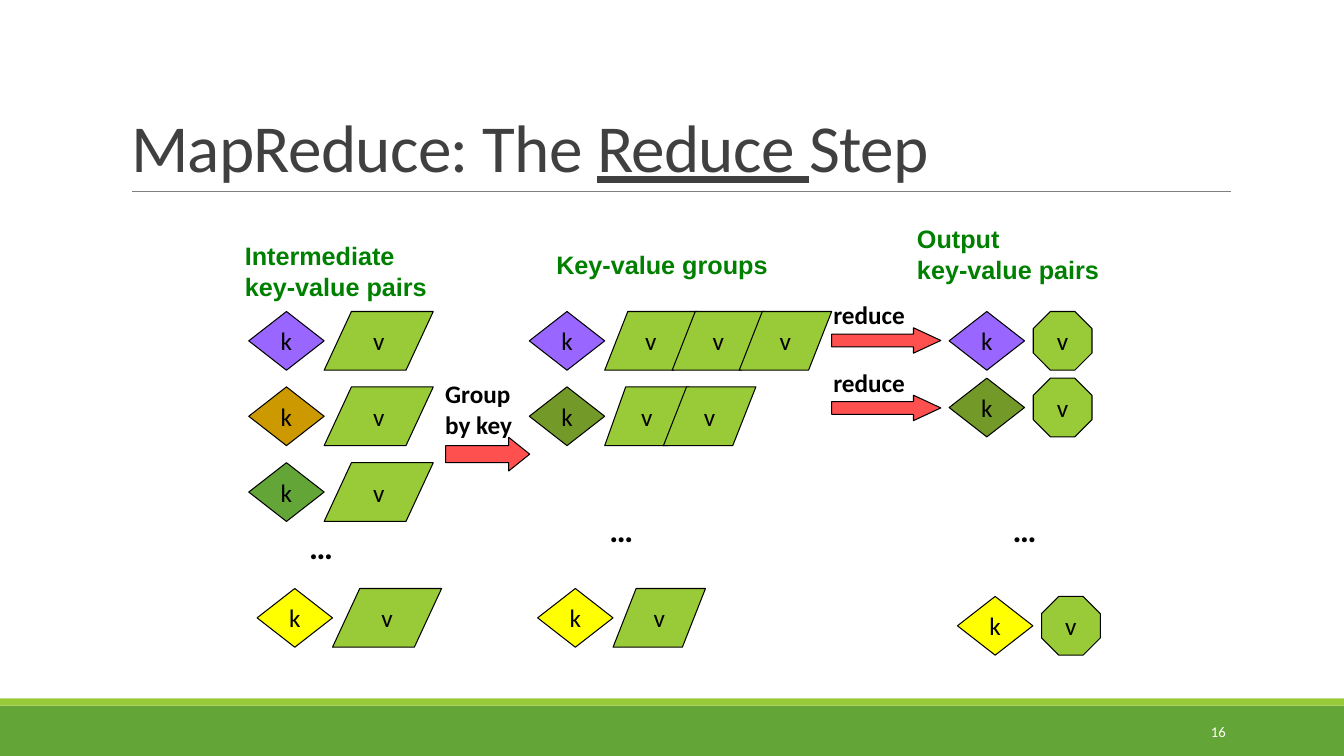
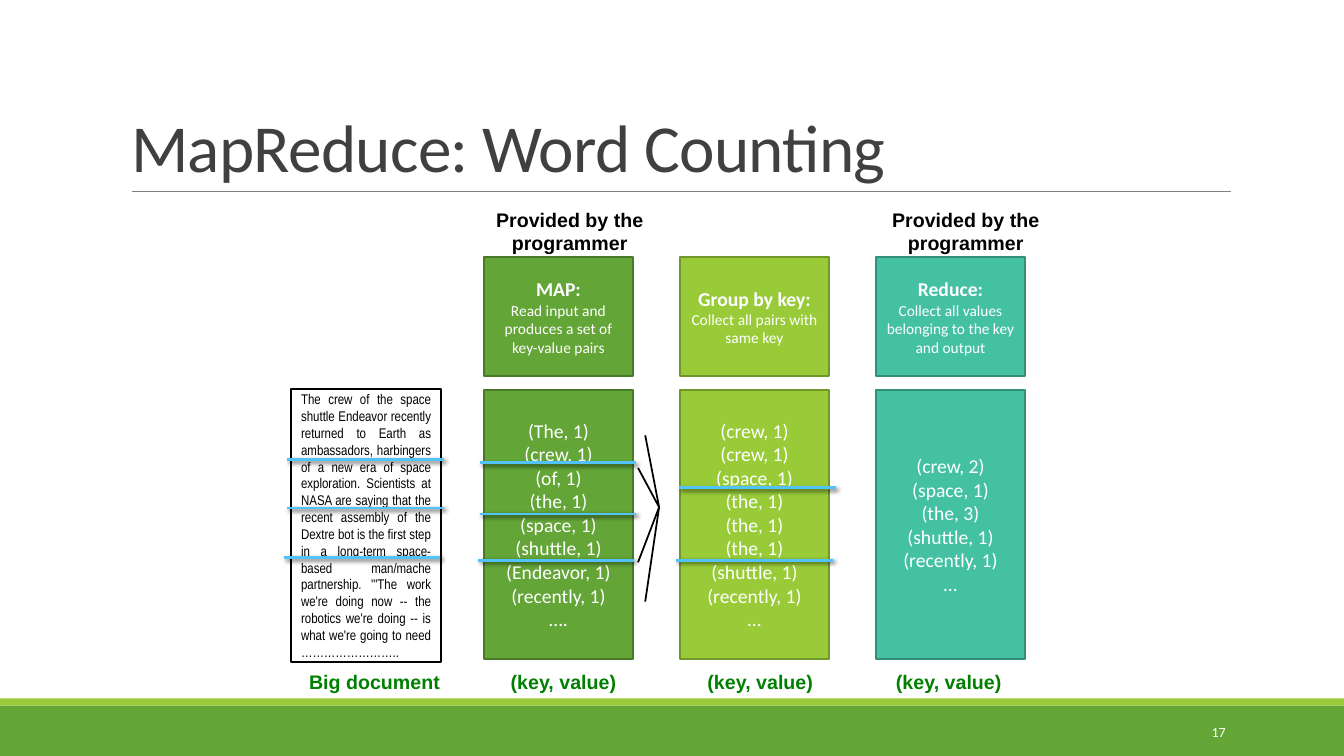
"""Build two MapReduce slides: the reduce step and word counting."""
from dataclasses import dataclass
from typing import Any

from lxml import etree
from pptx import Presentation
from pptx import util as u
from pptx.dml.color import RGBColor
from pptx.enum import shapes, text
from pptx.oxml.ns import qn

BLACK = RGBColor(0x00, 0x00, 0x00)
WHITE = RGBColor(0xFF, 0xFF, 0xFF)
GREEN = RGBColor(0x63, 0xA5, 0x37)
GREEN_EDGE = RGBColor(0x49, 0x7A, 0x29)
LIME = RGBColor(0x99, 0xCB, 0x38)
LIME_EDGE = RGBColor(0x71, 0x96, 0x29)
TEAL = RGBColor(0x44, 0xC1, 0xA3)
TEAL_EDGE = RGBColor(0x32, 0x8F, 0x79)
OLIVE = RGBColor(0x73, 0x9A, 0x28)
PURPLE = RGBColor(0x99, 0x66, 0xFF)
OCHRE = RGBColor(0xCC, 0x99, 0x00)
YELLOW = RGBColor(0xFF, 0xFF, 0x00)
RED = RGBColor(0xFF, 0x50, 0x50)
SKY = RGBColor(0x51, 0xC3, 0xF9)
LABEL_GREEN = RGBColor(0x00, 0x80, 0x00)
TITLE_GRAY = RGBColor(0x40, 0x40, 0x40)
RULE_GRAY = RGBColor(0x80, 0x80, 0x80)

SLIDE_WIDTH, SLIDE_HEIGHT = 33.87, 19.05
KEY_WIDTH, ROW_HEIGHT = 1.9, 1.48
COLUMN_LEFT, COLUMN_PITCH, COLUMN_WIDTH = 12.19, 4.94, 3.77

SHAPE = shapes.MSO_SHAPE
CENTER = text.PP_ALIGN.CENTER
RIGHT = text.PP_ALIGN.RIGHT
JUSTIFY = text.PP_ALIGN.JUSTIFY
MIDDLE = text.MSO_ANCHOR.MIDDLE


@dataclass(frozen=True)
class Box:
    """Place and size in centimetres."""
    left: float
    top: float
    width: float
    height: float

    def lengths(self) -> list[u.Length]:
        """Return the four values as lengths."""
        return [u.Cm(value) for value in (self.left, self.top, self.width, self.height)]


@dataclass(frozen=True)
class Style:
    """Look of a piece of text."""
    size: float
    color: RGBColor = BLACK
    name: str = "Calibri"
    bold: bool = False


@dataclass(frozen=True)
class Label:
    """Free text on a slide."""
    content: str
    box: Box
    style: Style
    wrap: bool = False
    align: Any = None


@dataclass(frozen=True)
class KeyValueRow:
    """A key diamond followed by value shapes given as (offset, width)."""
    left: float
    top: float
    color: RGBColor
    values: tuple[tuple[float, float], ...]
    kind: Any = SHAPE.PARALLELOGRAM


@dataclass(frozen=True)
class Stage:
    """One processing column of the word count."""
    heading: str
    detail: str
    pairs: str
    fill: RGBColor
    edge: RGBColor
    caption_left: float


KEY = Style(18)
STEP = Style(18, bold=True)
DOTS = Style(24, bold=True)
HEADING = Style(18, LABEL_GREEN, "Arial", True)
CAPTION = Style(14, LABEL_GREEN, "Arial", True)
NOTICE = Style(14, BLACK, "Arial", True)
PAIRS = Style(14, WHITE)
STAGE_HEAD = Style(14, WHITE, bold=True)
STAGE_DETAIL = Style(11, WHITE)
DOCUMENT = Style(10, BLACK, "Arial Narrow")
TITLE = Style(48, TITLE_GRAY)

ONE_VALUE = ((1.9, 2.75),)
ONE_GROUPED = ((1.9, 2.33),)
TWO_GROUPED = ((1.9, 2.12), (3.38, 2.33))
THREE_GROUPED = ((1.9, 2.33), (3.6, 2.33), (5.29, 2.33))
ONE_RESULT = ((2.12, 1.48),)

ROWS = (
    KeyValueRow(6.27, 7.85, PURPLE, ONE_VALUE),
    KeyValueRow(6.27, 9.75, OCHRE, ONE_VALUE),
    KeyValueRow(6.27, 11.66, GREEN, ONE_VALUE),
    KeyValueRow(6.48, 14.83, YELLOW, ONE_VALUE),
    KeyValueRow(13.34, 7.85, PURPLE, THREE_GROUPED),
    KeyValueRow(13.34, 9.75, OLIVE, TWO_GROUPED),
    KeyValueRow(13.55, 14.83, YELLOW, ONE_GROUPED),
    KeyValueRow(23.92, 7.85, PURPLE, ONE_RESULT, SHAPE.OCTAGON),
    KeyValueRow(23.92, 9.53, OLIVE, ONE_RESULT, SHAPE.OCTAGON),
    KeyValueRow(24.13, 15.03, YELLOW, ONE_RESULT, SHAPE.OCTAGON),
)
REDUCE_LABELS = (
    Label("Intermediate\nkey-value pairs", Box(5.92, 5.94, 5.13, 1.8), HEADING),
    Label("Key-value groups", Box(13.77, 6.15, 6.55, 1.02), HEADING, True),
    Label("Output\nkey-value pairs", Box(22.86, 5.51, 5.72, 1.78), HEADING, True),
    Label("Group\nby key", Box(10.97, 9.42, 2.21, 1.8), STEP),
    *(Label("reduce", Box(20.75, top, 2.39, 1.02), STEP) for top in (7.42, 9.12)),
    *(Label("…", Box(left, top, 1.12, 1.3), DOTS)
      for left, top in ((7.54, 13.13), (15.11, 12.7), (25.27, 12.7))),
)
ARROWS = (Box(11.23, 11.02, 2.12, 0.85), Box(20.96, 8.26, 2.75, 0.64),
          Box(20.96, 9.96, 2.75, 0.64))

STAGES = (
    Stage("MAP:", "Read input and produces a set of key-value pairs",
          "(The, 1)\n(crew, 1)\n(of, 1)\n(the, 1)\n(space, 1)\n(shuttle, 1)\n"
          "(Endeavor, 1)\n(recently, 1)\n….", GREEN, GREEN_EDGE, 12.62),
    Stage("Group by key:", "Collect all pairs with same key",
          "(crew, 1)\n(crew, 1)\n(space, 1)\n(the, 1)\n(the, 1)\n(the, 1)\n"
          "(shuttle, 1)\n(recently, 1)\n…", LIME, LIME_EDGE, 17.58),
    Stage("Reduce:", "Collect all values belonging to the key and output",
          "(crew, 2)\n(space, 1)\n(the, 3)\n(shuttle, 1)\n(recently, 1)\n…",
          TEAL, TEAL_EDGE, 22.33),
)
DOCUMENT_TEXT = (
    "The crew of the space shuttle Endeavor recently returned to Earth as ambassadors, "
    "harbingers of a new era of space exploration. Scientists at NASA are saying that the "
    "recent assembly of the Dextre bot is the first step in a long-term space-based "
    "man/mache partnership. '\"The work we're doing now -- the robotics we're doing -- is "
    "what we're going to need ……………………..")
COUNT_LABELS = (
    Label("Big document", Box(7.54, 16.76, 4.06, 0.86), CAPTION, True),
    *(Label("(key, value)", Box(stage.caption_left, 16.76, 3.35, 0.86), CAPTION, True)
      for stage in STAGES),
    *(Label("Provided by the programmer", Box(left, 5.11, 5, 1.45), NOTICE, True, CENTER)
      for left in (11.86, 21.84)),
)
CUT_LENGTH = 3.94
CUTS = ((12.04, 14.12), (12.09, 12.95), (12.09, 11.66), (17.04, 14.12), (17.12, 12.29),
        (7.16, 14.05), (7.24, 12.8), (7.24, 11.58))
MERGE_POINT = (16.61, 12.78)
MERGE_STARTS = ((16.26, 10.97), (16.26, 15.16), (16.08, 14.17), (16.08, 11.79))


def apply_format(target: Any, values: dict[str, Any]) -> None:
    """Set each named attribute on the target."""
    for name, value in values.items():
        setattr(target, name, value)


def format_font(font: Any, style: Style) -> None:
    """Give a font the look of a style."""
    apply_format(font, {"size": u.Pt(style.size), "name": style.name, "bold": style.bold})
    font.color.rgb = style.color


def write(frame: Any, parts: list[tuple[str, Style]], align: Any = None) -> None:
    """Fill a text frame, one paragraph per line of each part."""
    lines = [(line, style) for content, style in parts for line in content.split("\n")]
    for index, (line, style) in enumerate(lines):
        paragraph = frame.add_paragraph() if index else frame.paragraphs[0]
        paragraph.alignment = align
        run = paragraph.add_run()
        run.text = line
        format_font(run.font, style)


def add_label(slide: Any, label: Label) -> Any:
    """Add a text box and return its frame."""
    frame = slide.shapes.add_textbox(*label.box.lengths()).text_frame
    apply_format(frame, {"word_wrap": label.wrap,
                         "auto_size": text.MSO_AUTO_SIZE.SHAPE_TO_FIT_TEXT})
    write(frame, [(label.content, label.style)], label.align)
    return frame


def add_block(slide: Any, kind: Any, box: Box, fill: RGBColor,
              edge: RGBColor | None = None, weight: float = 0.75) -> Any:
    """Add a filled shape, outlined when an edge colour is given."""
    shape = slide.shapes.add_shape(kind, *box.lengths())
    shape.shadow.inherit = False
    shape.fill.solid()
    shape.fill.fore_color.rgb = fill
    if edge is None:
        shape.line.fill.background()
    else:
        shape.line.color.rgb = edge
        shape.line.width = u.Pt(weight)
    apply_format(shape.text_frame, {"vertical_anchor": MIDDLE, "word_wrap": True})
    return shape


def add_line(slide: Any, start: tuple[float, float], end: tuple[float, float],
             color: RGBColor, weight: float, shadow: bool = False) -> Any:
    """Add a straight line, with a soft shadow if wanted."""
    line = slide.shapes.add_connector(shapes.MSO_CONNECTOR.STRAIGHT,
                                      *(u.Cm(value) for value in (*start, *end)))
    line.line.color.rgb = color
    line.line.width = u.Pt(weight)
    effects = etree.SubElement(line._element.spPr, qn("a:effectLst"))
    if shadow:
        outer = etree.SubElement(effects, qn("a:outerShdw"), blurRad="38100", dist="25400",
                                 dir="2700000", algn="tl", rotWithShape="0")
        tint = etree.SubElement(outer, qn("a:srgbClr"), val=str(BLACK))
        etree.SubElement(tint, qn("a:alpha"), val="60000")
    return line


def move_backdrop_to_layout(slide: Any, layout: Any) -> None:
    """Put the bottom bands and the title rule on the layout."""
    for placeholder in list(layout.placeholders):
        if placeholder.placeholder_format.idx != 0:
            placeholder._element.getparent().remove(placeholder._element)
    backdrop = (
        add_block(slide, SHAPE.RECTANGLE, Box(0, 17.78, SLIDE_WIDTH, 1.27), GREEN),
        add_block(slide, SHAPE.RECTANGLE, Box(0, 17.6, SLIDE_WIDTH, 0.18), LIME),
        add_line(slide, (3.33, 4.83), (31.01, 4.83), RULE_GRAY, 0.5),
    )
    for shape in backdrop:
        layout.shapes._spTree.append(shape._element)


def add_heading(slide: Any, parts: list[tuple[str, bool]], number: str, size: float) -> None:
    """Write the title from (text, underlined) parts and the slide number."""
    title = slide.shapes.title
    apply_format(title, dict(zip(("left", "top", "width", "height"),
                                 Box(3.05, 0.79, 27.94, 4.04).lengths())))
    apply_format(title.text_frame, {"vertical_anchor": text.MSO_ANCHOR.BOTTOM,
                                    "auto_size": text.MSO_AUTO_SIZE.NONE})
    paragraph = title.text_frame.paragraphs[0]
    apply_format(paragraph, {"alignment": text.PP_ALIGN.LEFT, "line_spacing": 0.85})
    for content, underlined in parts:
        run = paragraph.add_run()
        run.text = content
        format_font(run.font, TITLE)
        run.font.underline = underlined
        run.font._element.set("spc", "-50")
    frame = add_label(slide, Label(number, Box(27.51, 17.93, 3.63, 1.02),
                                   Style(size, WHITE), True, RIGHT))
    apply_format(frame, {"vertical_anchor": MIDDLE, "auto_size": text.MSO_AUTO_SIZE.NONE})


def add_row(slide: Any, row: KeyValueRow) -> None:
    """Draw a key and its values."""
    pieces = [(SHAPE.DIAMOND, "k", 0, KEY_WIDTH, row.color)]
    pieces += [(row.kind, "v", offset, width, LIME) for offset, width in row.values]
    for kind, letter, offset, width, color in pieces:
        box = Box(row.left + offset, row.top, width, ROW_HEIGHT)
        shape = add_block(slide, kind, box, color, BLACK)
        if kind == SHAPE.PARALLELOGRAM:
            shape.adjustments[0] = width / 4 / ROW_HEIGHT
        shape.text_frame.word_wrap = False
        write(shape.text_frame, [(letter, KEY)], CENTER)


def build_reduce_step(slide: Any) -> None:
    """Draw the reduce step diagram."""
    for row in ROWS:
        add_row(slide, row)
    for box in ARROWS:
        arrow = add_block(slide, SHAPE.RIGHT_ARROW, box, RED, BLACK)
        arrow.adjustments[1] = box.width / 4 / box.height
    for label in REDUCE_LABELS:
        add_label(slide, label)


def build_word_counting(slide: Any) -> None:
    """Draw the word counting columns."""
    page = add_block(slide, SHAPE.RECTANGLE, Box(7.34, 9.8, COLUMN_WIDTH, 6.88),
                     WHITE, BLACK, 1.25)
    write(page.text_frame, [(DOCUMENT_TEXT, DOCUMENT)], JUSTIFY)
    for index, stage in enumerate(STAGES):
        left = COLUMN_LEFT + index * COLUMN_PITCH
        head = [(stage.heading, STAGE_HEAD), (stage.detail, STAGE_DETAIL)]
        for top, height, parts in ((6.48, 3, head), (9.83, 6.78, [(stage.pairs, PAIRS)])):
            block = add_block(slide, SHAPE.RECTANGLE, Box(left, top, COLUMN_WIDTH, height),
                              stage.fill, stage.edge, 1.25)
            write(block.text_frame, parts, CENTER)
    for label in COUNT_LABELS:
        add_label(slide, label)
    for left, top in CUTS:
        add_line(slide, (left, top), (left + CUT_LENGTH, top), SKY, 2, True)
    for start in MERGE_STARTS:
        add_line(slide, start, MERGE_POINT, BLACK, 1.25)


def main() -> None:
    """Build and save the presentation."""
    presentation = Presentation()
    apply_format(presentation, {"slide_width": u.Cm(SLIDE_WIDTH),
                                "slide_height": u.Cm(SLIDE_HEIGHT)})
    layout = presentation.slide_layouts[5]
    reduce_slide = presentation.slides.add_slide(layout)
    move_backdrop_to_layout(reduce_slide, layout)
    add_heading(reduce_slide, [("MapReduce: The ", False), ("Reduce ", True),
                               ("Step", False)], "16", 10.5)
    build_reduce_step(reduce_slide)
    count_slide = presentation.slides.add_slide(layout)
    add_heading(count_slide, [("MapReduce: Word Counting", False)], "17", 10)
    build_word_counting(count_slide)
    presentation.save("out.pptx")


if __name__ == "__main__":
    main()
